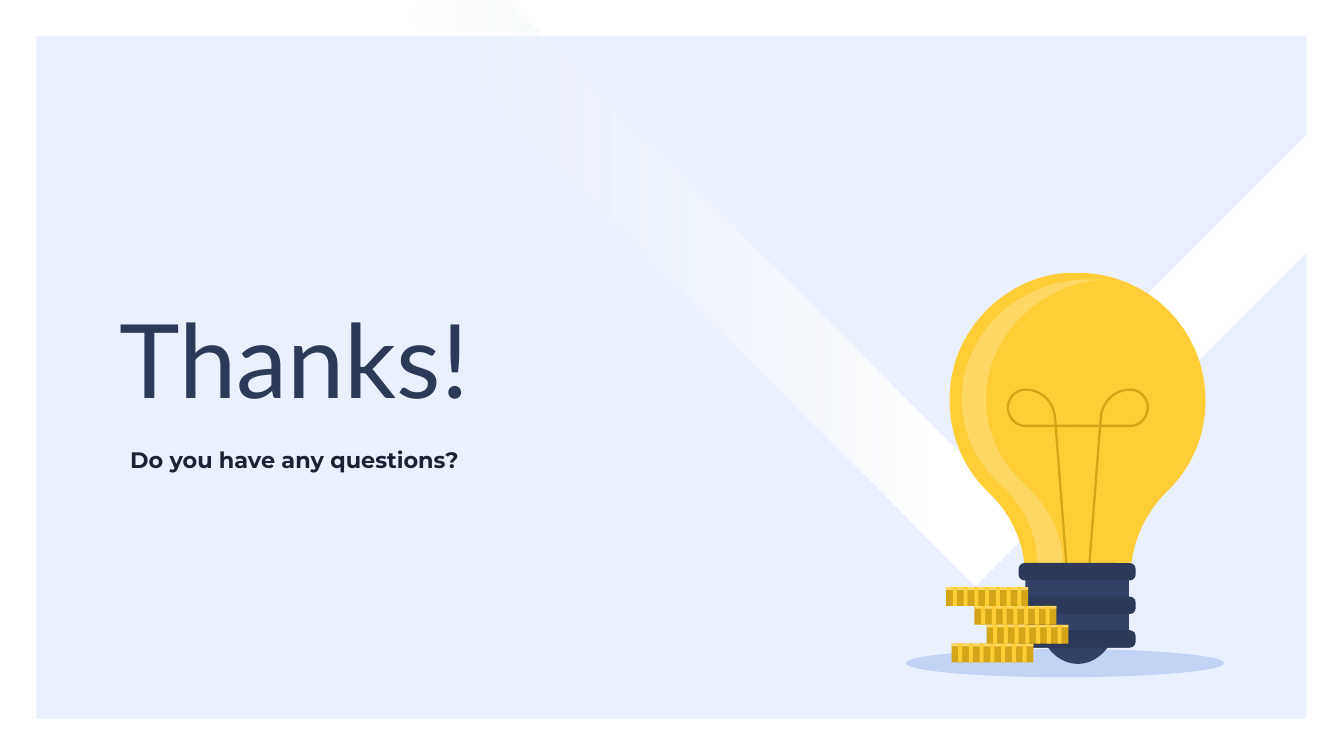
from lxml import etree
from pptx import Presentation
from pptx import util as u
from pptx.dml.color import RGBColor
from pptx.enum import shapes as sh, text as tx
from pptx.oxml import ns, parse_xml

RECT, OVAL, ROUND = sh.MSO_SHAPE.RECTANGLE, sh.MSO_SHAPE.OVAL, sh.MSO_SHAPE.ROUNDED_RECTANGLE
NAVY, GOLD, YELLOW, PALE = "2D3959", "D4A517", "FFCD36", "FFD863"
AXIS = 8.02

WORDS = [
    ("Thanks!", (0.79, 2, 4.21, 1.22), "Lato", 55, NAVY, False, tx.MSO_ANCHOR.BOTTOM),
    ("Do you have any questions?", (0.87, 3.22, 3.28, 0.4), "Montserrat", 12, "1B2235", True,
     tx.MSO_ANCHOR.TOP),
]
GLASS = [
    (8.02, 2.03), (7.99, 2.03, 7.97, 2.03, 7.94, 2.03), (7.49, 2.06, 7.11, 2.43, 7.07, 2.88),
    (7.04, 3.2, 7.16, 3.48, 7.36, 3.67), (7.54, 3.84, 7.63, 4.07, 7.63, 4.31), (8.41, 4.31),
    (8.41, 4.06, 8.51, 3.83, 8.68, 3.66), (8.86, 3.49, 8.97, 3.25, 8.97, 2.98),
    (8.97, 2.45, 8.54, 2.03, 8.02, 2.03),
]
SHINE = [
    (8.11, 2.08), (8.09, 2.08, 8.07, 2.08, 8.04, 2.08), (7.58, 2.11, 7.21, 2.45, 7.16, 2.88),
    (7.13, 3.17, 7.25, 3.44, 7.46, 3.62), (7.63, 3.78, 7.72, 3.99, 7.72, 4.21), (7.91, 4.21),
    (7.91, 3.99, 7.81, 3.78, 7.64, 3.62), (7.43, 3.44, 7.31, 3.17, 7.34, 2.88),
    (7.39, 2.46, 7.75, 2.12, 8.2, 2.08),
]
WIRE = [
    (7.94, 4.27), (7.85, 3.11), (7.84, 2.99, 7.75, 2.9, 7.63, 2.9),
    (7.56, 2.9, 7.5, 2.96, 7.5, 3.03), (7.5, 3.11, 7.56, 3.17, 7.63, 3.17), (8.05, 3.17),
]
SCREW = [
    (7.63, 4.22), (7.63, 4.82), (7.8, 4.82), (7.85, 4.89, 7.93, 4.94, 8.02, 4.94),
    (8.11, 4.94, 8.19, 4.89, 8.24, 4.82), (8.4, 4.82), (8.4, 4.22),
]
BANDS = [4.44, 4.69, 4.19]
COINS = [7.08, 7.34, 7.25, 7.04]

deck = Presentation()
deck.slide_width, deck.slide_height = u.Cm(25.4), u.Cm(14.29)
slide = deck.slides.add_slide(deck.slide_layouts[6])


def inch(val):
    return u.Cm(val * 2.54)


def color(code):
    return RGBColor.from_string(code)


def paint(part, code):
    part.shadow.inherit = False
    part.fill.solid()
    part.fill.fore_color.rgb = color(code)
    part.line.fill.background()
    return part


def block(kind, box, code, turn=0):
    part = slide.shapes.add_shape(kind, *map(inch, box))
    part.rotation = turn
    return paint(part, code)


def trace(path, steps=16):
    pts = [path[0]]
    for seg in path[1:]:
        if len(seg) == 2:
            pts.append(seg)
            continue
        ends = [pts[-1], seg[:2], seg[2:4], seg[4:]]
        for n in range(1, steps + 1):
            t = n / steps
            mix = ((1 - t) ** 3, 3 * t * (1 - t) ** 2, 3 * t * t * (1 - t), t ** 3)
            pts.append(tuple(sum(m * p[k] for m, p in zip(mix, ends)) for k in (0, 1)))
    return pts


def outline(pts, close=True):
    pts = [(inch(x), inch(y)) for x, y in pts]
    pen = slide.shapes.build_freeform(*pts[0])
    pen.add_line_segments(pts[1:], close=close)
    return pen.convert_to_shape()


def fade(part):
    stops = [(0, "E4EDF1", 0), (83, "FFFFFF", 100), (100, "FFFFFF", 100)]
    marks = "".join(
        f'<a:gs pos="{pos * 1000}"><a:srgbClr val="{code}"><a:alpha val="{solid * 1000}"/>'
        "</a:srgbClr></a:gs>" for pos, code, solid in stops)
    props = part._element.spPr
    props.xfrm.set("flipH", "1")
    old = props.find(ns.qn("a:solidFill"))
    props.replace(old, parse_xml(
        f'<a:gradFill {ns.nsdecls("a")}><a:gsLst>{marks}</a:gsLst>'
        '<a:lin ang="18900000" scaled="0"/></a:gradFill>'))


block(RECT, (0.27, 0.27, 9.45, 5.08), "EBF0FF")
fade(block(RECT, (5.05, -0.96, 0.62, 5.97), "FFFFFF", 135))
block(RECT, (8.22, 0.51, 0.62, 4.25), "FFFFFF", 45)

shade = block(OVAL, (6.74, 4.83, 2.37, 0.21), "749DE4")
tint = shade._element.spPr.find(".//" + ns.qn("a:srgbClr"))
etree.SubElement(tint, ns.qn("a:alpha")).set("val", "34000")

for path, code in [(GLASS, YELLOW), (SHINE, PALE)]:
    paint(outline(trace(path)), code)

left = trace(WIRE)
for pts in (left, [(2 * AXIS - x, y) for x, y in left]):
    wire = outline(pts, close=False)
    wire.shadow.inherit = False
    wire.fill.background()
    wire.line.color.rgb = color(GOLD)
    wire.line.width = u.Pt(1.22)

paint(outline(trace(SCREW)), "334166")
for top in BANDS:
    block(ROUND, (7.58, top, 0.87, 0.13), NAVY).adjustments[0] = 0.33

for row, x in enumerate(COINS):
    top = 4.79 - 0.14 * row
    block(RECT, (x, top, 0.61, 0.14), GOLD)
    block(RECT, (x, top, 0.61, 0.02), PALE)
    for n in range(7):
        block(RECT, (x + 0.05 + 0.08 * n, top, 0.03, 0.14), YELLOW)

for words, box, face, size, code, bold, anchor in WORDS:
    frame = slide.shapes.add_textbox(*map(inch, box)).text_frame
    frame.word_wrap = True
    frame.vertical_anchor = anchor
    frame.margin_left = frame.margin_right = frame.margin_top = frame.margin_bottom = inch(0.1)
    frame.text = words
    font = frame.paragraphs[0].runs[0].font
    font.name, font.size, font.bold = face, u.Pt(size), bold
    font.color.rgb = color(code)

deck.save("out.pptx")
